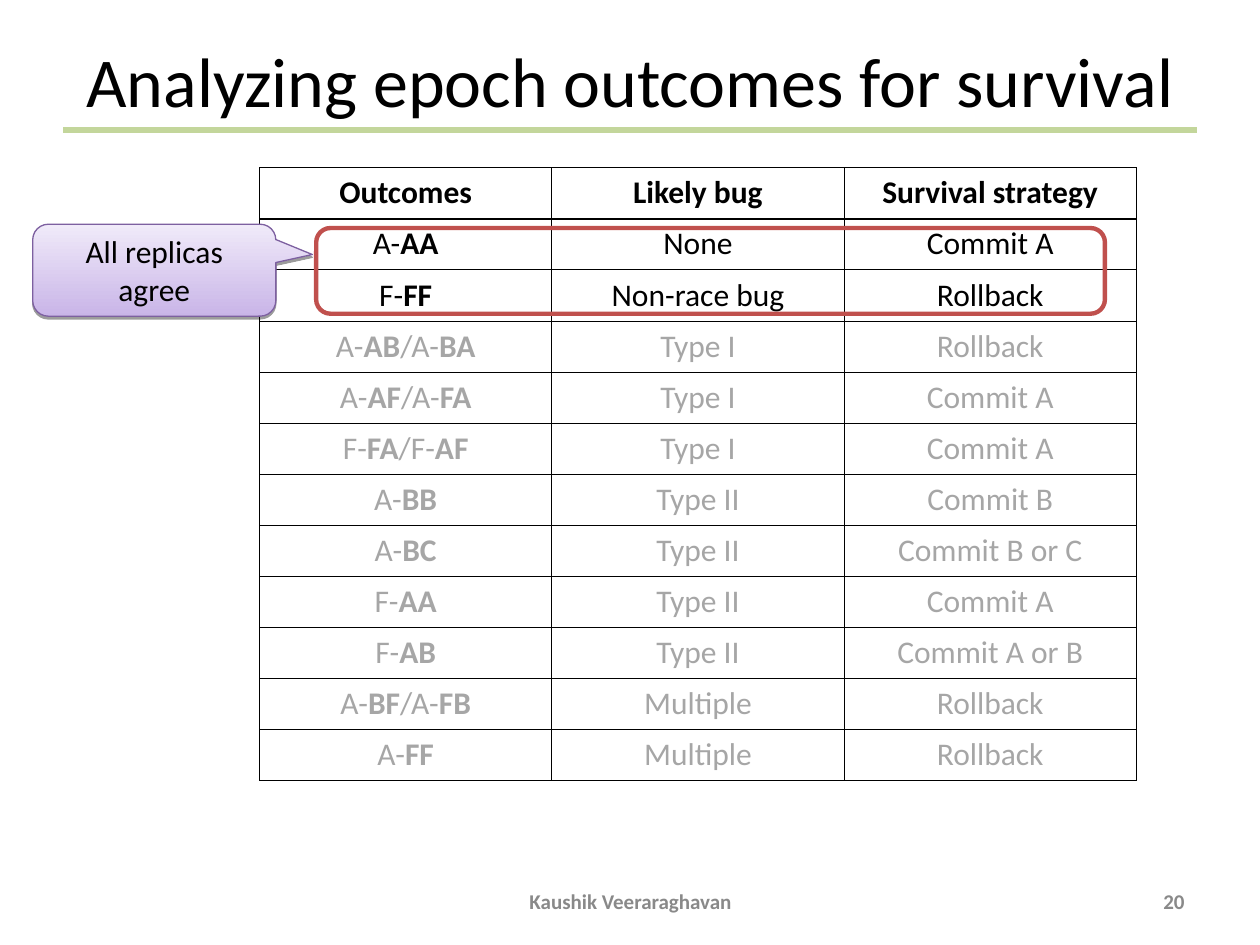
from lxml.etree import SubElement
from pptx import Presentation
from pptx.dml.color import RGBColor
from pptx.enum.shapes import MSO_CONNECTOR, MSO_SHAPE
from pptx.enum.text import MSO_ANCHOR, PP_ALIGN
from pptx.oxml.ns import qn
from pptx.util import Inches, Pt

BLACK = RGBColor(0x00, 0x00, 0x00)
FADED = RGBColor(0xA6, 0xA6, 0xA6)
FOOTER_GRAY = RGBColor(0x89, 0x89, 0x89)
RULE_GREEN = RGBColor(0xC3, 0xD6, 0x9B)
FRAME_RED = RGBColor(0xC0, 0x50, 0x4D)
CALLOUT_LINE = RGBColor(0x7D, 0x60, 0xA0)
CALLOUT_STOPS = (RGBColor(0xC9, 0xB5, 0xE8), RGBColor(0xF0, 0xEA, 0xF9))

TITLE = "Analyzing epoch outcomes for survival"
CALLOUT = "All replicas agree"
# Text between asterisks is bold.
ROWS = [
    ("*Outcomes", "*Likely bug", "*Survival strategy"),
    ("A-*AA", "None", "Commit A"),
    ("F-*FF", "Non-race bug", "Rollback"),
    ("A-*AB*/A-*BA", "Type I", "Rollback"),
    ("A-*AF*/A-*FA", "Type I", "Commit A"),
    ("F-*FA*/F-*AF", "Type I", "Commit A"),
    ("A-*BB", "Type II", "Commit B"),
    ("A-*BC", "Type II", "Commit B or C"),
    ("F-*AA", "Type II", "Commit A"),
    ("F-*AB", "Type II", "Commit A or B"),
    ("A-*BF*/A-*FB", "Multiple", "Rollback"),
    ("A-*FF", "Multiple", "Rollback"),
]
ACTIVE_ROWS = 3  # header and the two highlighted outcomes
FOOTERS = [
    ("Kaushik Veeraraghavan", (3.42, 6.95, 3.17, 0.4), PP_ALIGN.CENTER),
    ("20", (7.17, 6.95, 2.33, 0.4), PP_ALIGN.RIGHT),
]
TABLE_BOX = (2.06, 1.33, 6.96, 4.87)
THIN, THICK = Pt(0.45), Pt(1.47)


def inches(values):
    return [Inches(value) for value in values]


def write(frame, text, size, color, bold=False, align=PP_ALIGN.CENTER):
    """Fill a text frame; each asterisk in the text toggles bold."""
    frame.word_wrap = True
    paragraph = frame.paragraphs[0]
    paragraph.alignment = align
    for index, part in enumerate(text.split("*")):
        if not part:
            continue
        run = paragraph.add_run()
        run.text = part
        run.font.color.rgb = color
        style = {"name": "Calibri", "size": Pt(size), "bold": bold or index % 2 == 1}
        for name, value in style.items():
            setattr(run.font, name, value)


def set_borders(cell, widths):
    properties = cell._tc.get_or_add_tcPr()
    for side, width in widths.items():
        line = SubElement(properties, qn(f"a:ln{side}"), w=str(width))
        fill = SubElement(line, qn("a:solidFill"))
        SubElement(fill, qn("a:srgbClr"), val=str(BLACK))


def add_title(slide):
    title = slide.shapes.title
    title.left, title.top, title.width, title.height = inches((0.5, 0.3, 9, 0.66))
    title.text_frame.vertical_anchor = MSO_ANCHOR.MIDDLE
    write(title.text_frame, TITLE, 40, BLACK)
    rule = slide.shapes.add_connector(MSO_CONNECTOR.STRAIGHT, *inches((0.5, 1.03, 9.5, 1.03)))
    rule.line.color.rgb = RULE_GREEN
    rule.line.width = Pt(3.5)
    SubElement(rule._element.spPr, qn("a:effectLst"))


def add_outcome_table(slide):
    row_count, column_count = len(ROWS), len(ROWS[0])
    table = slide.shapes.add_table(row_count, column_count, *inches(TABLE_BOX)).table
    table.first_row = table.horz_banding = False
    for column in table.columns:
        column.width = Inches(TABLE_BOX[2] / column_count)
    for row_index, texts in enumerate(ROWS):
        table.rows[row_index].height = Inches(TABLE_BOX[3] / row_count)
        color = BLACK if row_index < ACTIVE_ROWS else FADED
        widths = {
            "L": THIN,
            "R": THIN,
            "T": THICK if row_index == 1 else THIN,
            "B": THICK if row_index == 0 else THIN,
        }
        for column_index, text in enumerate(texts):
            cell = table.cell(row_index, column_index)
            set_borders(cell, widths)
            cell.fill.background()
            write(cell.text_frame, text, 18, color)


def add_highlight(slide):
    frame = slide.shapes.add_shape(MSO_SHAPE.ROUNDED_RECTANGLE, *inches((2.51, 1.81, 6.26, 0.68)))
    frame.shadow.inherit = False
    frame.fill.background()
    frame.line.color.rgb = FRAME_RED
    frame.line.width = Pt(2.5)


def add_callout(slide):
    callout = slide.shapes.add_shape(
        MSO_SHAPE.ROUNDED_RECTANGULAR_CALLOUT, *inches((0.26, 1.78, 1.93, 0.73)))
    for index, value in enumerate((0.65, -0.17, 0.17)):
        callout.adjustments[index] = value
    callout.fill.gradient()
    callout.fill.gradient_angle = 90
    for stop, position, color in zip(callout.fill.gradient_stops, (0, 1), CALLOUT_STOPS):
        stop.position = position
        stop.color.rgb = color
    callout.line.color.rgb = CALLOUT_LINE
    callout.line.width = Pt(0.75)
    callout.shadow.inherit = False
    effects = callout._element.spPr.find(qn("a:effectLst"))
    shadow = SubElement(effects, qn("a:outerShdw"), blurRad="0", dist=str(Pt(1.6)),
                        dir="5400000", rotWithShape="0")
    shade = SubElement(shadow, qn("a:srgbClr"), val=str(BLACK))
    SubElement(shade, qn("a:alpha"), val="38000")
    callout.text_frame.vertical_anchor = MSO_ANCHOR.MIDDLE
    write(callout.text_frame, CALLOUT, 18, BLACK)


def add_footers(slide):
    for text, box, align in FOOTERS:
        frame = slide.shapes.add_textbox(*inches(box)).text_frame
        frame.vertical_anchor = MSO_ANCHOR.MIDDLE
        write(frame, text, 12, FOOTER_GRAY, bold=True, align=align)


def main():
    presentation = Presentation()
    presentation.slide_width, presentation.slide_height = inches((10, 7.5))
    slide = presentation.slides.add_slide(presentation.slide_layouts[5])
    for add_part in (add_title, add_outcome_table, add_highlight, add_footers, add_callout):
        add_part(slide)
    presentation.save("out.pptx")


if __name__ == "__main__":
    main()
